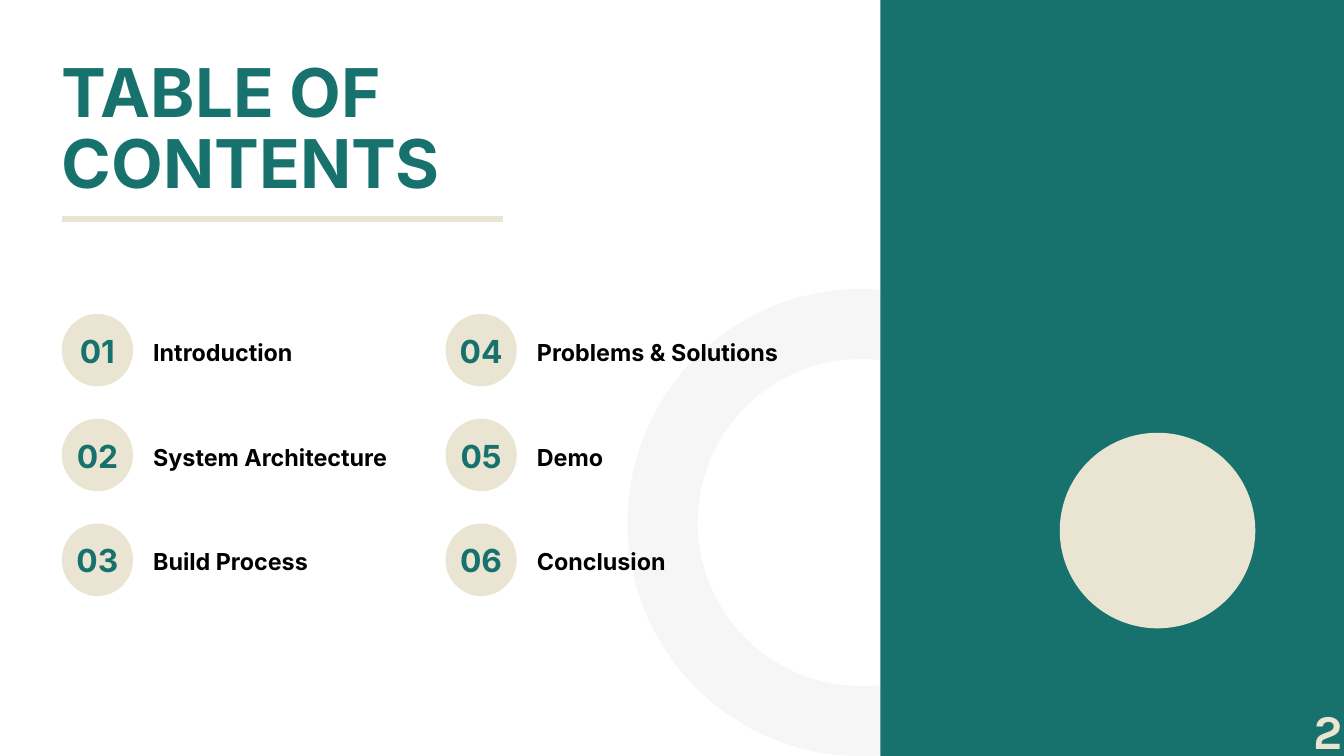
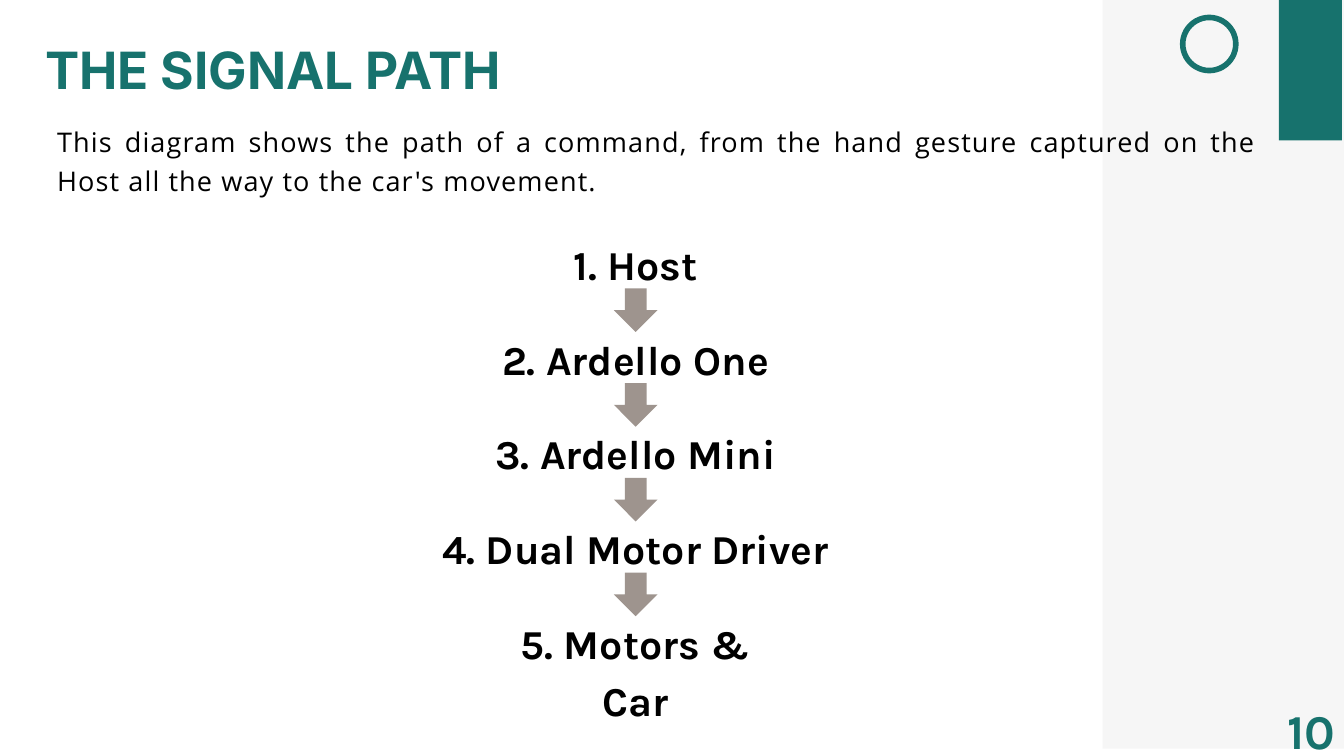
from collections import namedtuple

from lxml.etree import SubElement
from pptx import Presentation
from pptx.dml.color import RGBColor
from pptx.enum.shapes import MSO_CONNECTOR, MSO_SHAPE
from pptx.enum.text import MSO_ANCHOR as Anchor
from pptx.enum.text import MSO_AUTO_SIZE as AutoSize
from pptx.enum.text import PP_ALIGN as Align
from pptx.oxml.ns import qn
from pptx.util import Inches, Pt

Box = namedtuple("Box", "left top width height")

TEAL, SAND, MIST = "17726D", "EAE4D2", "F6F6F6"
STONE, BLACK = "9E948E", "000000"
HEADING, ACCENT, BODY = "Inter", "Karla", "Open Sans"
WIDTH, HEIGHT = 20, 11.25
TITLE_ONLY, TITLE_AND_BODY = 5, 1

CONTENTS = [
    ["Introduction", "System Architecture", "Build Process"],
    ["Problems & Solutions", "Demo", "Conclusion"],
]
STEPS = ["Host", "Ardello One", "Ardello Mini", "Dual Motor Driver", "Motors & Car"]


def color(value):
    """Turn a hex string into a colour."""
    return RGBColor.from_string(value)


def inches(box):
    """Turn a box into four lengths."""
    return [Inches(length) for length in box]


def write(frame, text, size, leading, font=HEADING, fill=TEAL, bold=True,
          align=Align.LEFT, anchor=Anchor.TOP, tracking=None, wrap=True, bottom=0):
    """Fill a text frame with one formatted paragraph."""
    frame.auto_size = AutoSize.NONE
    frame.word_wrap = wrap
    frame.vertical_anchor = anchor
    frame.margin_left = frame.margin_right = frame.margin_top = 0
    frame.margin_bottom = Inches(bottom)
    para = frame.paragraphs[0]
    para.alignment = align
    para.line_spacing = Pt(leading)
    para.space_before = Pt(0)
    span = para.add_run()
    span.text = text
    span.font.name, span.font.size, span.font.bold = font, Pt(size), bold
    span.font.color.rgb = color(fill)
    if tracking:
        span.font._element.set("spc", str(round(tracking * 100)))


def add_text(page, box, text, size, leading, **style):
    """Add a text box."""
    write(page.shapes.add_textbox(*inches(box)).text_frame, text, size, leading, **style)


def fill_placeholder(holder, box, text, size, leading, **style):
    """Move a placeholder to the front, into its box, and fill it without a bullet."""
    holder.element.getparent().append(holder.element)
    holder.left, holder.top, holder.width, holder.height = inches(box)
    props = holder.text_frame.paragraphs[0]._p.get_or_add_pPr()
    props.set("marL", "0")
    props.set("indent", "0")
    SubElement(props, qn("a:buNone"))
    write(holder.text_frame, text, size, leading, **style)


def add_figure(page, kind, box, fill=None, line=None, weight=0):
    """Add a flat preset shape."""
    figure = page.shapes.add_shape(kind, *inches(box))
    figure.shadow.inherit = False
    if fill:
        figure.fill.solid()
        figure.fill.fore_color.rgb = color(fill)
    else:
        figure.fill.background()
    if line:
        figure.line.color.rgb = color(line)
        figure.line.width = Pt(weight)
    else:
        figure.line.fill.background()
    return figure


def add_rule(page, left, top, length):
    """Draw the sand rule below a title."""
    rule = page.shapes.add_connector(
        MSO_CONNECTOR.STRAIGHT, Inches(left), Inches(top), Inches(left + length), Inches(top))
    rule.line.color.rgb = color(SAND)
    rule.line.width = Pt(6)
    SubElement(rule._element.spPr, qn("a:effectLst"))


def add_page_number(page, number, box, fill):
    """Write the page number in the bottom corner."""
    add_text(page, box, str(number), 52, 72.8, font=ACCENT, fill=fill,
             align=Align.CENTER, wrap=False)


def add_contents_grid(page, box):
    """Lay numbered circles and labels out in columns."""
    column_step, row_step, number = 5.71, 1.56, 0
    for column, labels in enumerate(CONTENTS):
        for row, label in enumerate(labels):
            number += 1
            left = box.left + column * column_step
            top = box.top + row * row_step
            badge = add_figure(page, MSO_SHAPE.OVAL, Box(left, top, 1.06, 1.08), SAND)
            write(badge.text_frame, f"{number:02}", 34, 47.6, align=Align.CENTER,
                  anchor=Anchor.MIDDLE, wrap=False, bottom=0.08)
            add_text(page, Box(left + 1.36, top + 0.29, 3.95, 0.45), label, 25, 35, fill=BLACK)


def add_signal_path(page, box):
    """Stack the numbered steps with arrows between them."""
    step, arrow = 1.41, 0.65
    for index, name in enumerate(STEPS):
        top = box.top + index * step
        last = index == len(STEPS) - 1
        width = 4.45 if last else box.width
        add_text(page, Box(box.left + (box.width - width) / 2, top, width, 0.83),
                 f"{index + 1}. {name}", 44, 61.6, font=ACCENT, fill=BLACK, align=Align.CENTER)
        if not last:
            add_figure(page, MSO_SHAPE.DOWN_ARROW,
                       Box(box.left + (box.width - arrow) / 2, top + 0.85, arrow, arrow), STONE)


def add_side_panel(page, box):
    """Draw the teal panel with its sand disc."""
    add_figure(page, MSO_SHAPE.RECTANGLE, box, TEAL)
    add_figure(page, MSO_SHAPE.OVAL, Box(box.left + 2.67, box.top + 6.44, 2.91, 2.91), SAND)


def add_side_strip(page, box):
    """Draw the pale strip with its teal tab and ring."""
    add_figure(page, MSO_SHAPE.RECTANGLE, box, MIST)
    add_figure(page, MSO_SHAPE.RECTANGLE, Box(box.left + 2.62, box.top, 0.94, 2.09), TEAL)
    add_figure(page, MSO_SHAPE.OVAL, Box(box.left + 1.19, box.top + 0.26, 0.79, 0.79),
               line=TEAL, weight=6)


def build_contents(deck):
    """Build the table of contents."""
    page = deck.slides.add_slide(deck.slide_layouts[TITLE_ONLY])
    add_figure(page, MSO_SHAPE.OVAL, Box(9.86, 4.82, 5.91, 5.91), line=MIST, weight=75)
    add_side_panel(page, Box(13.1, 0, WIDTH - 13.1, HEIGHT))
    add_contents_grid(page, Box(0.92, 4.67, 11, 4.2))
    add_rule(page, 0.92, 3.26, 6.57)
    fill_placeholder(page.shapes.title, Box(0.92, 0.9, 7.83, 2.12),
                     "TABLE OF CONTENTS", 72, 75.6)
    add_page_number(page, 2, Box(19.58, 10.28, 0.38, 0.97), SAND)


def build_signal_path(deck):
    """Build the signal path diagram."""
    page = deck.slides.add_slide(deck.slide_layouts[TITLE_AND_BODY])
    add_side_strip(page, Box(16.41, 0, WIDTH - 16.41, 11.14))
    fill_placeholder(page.shapes.title, Box(0.67, 0.68, 11.75, 0.82),
                     "THE SIGNAL PATH", 55, 57.8)
    fill_placeholder(
        page.placeholders[1], Box(0.85, 1.77, 17.86, 1.74),
        "This diagram shows the path of a command, from the hand gesture captured on the "
        "Host all the way to the car's movement.",
        29, 42, font=BODY, fill=BLACK, bold=False, align=Align.JUSTIFY, tracking=1.2)
    add_signal_path(page, Box(6.14, 3.44, 6.64, 7))
    add_page_number(page, 10, Box(19.03, 10.28, 0.97, 0.97), TEAL)


def main():
    """Build and save the deck."""
    deck = Presentation()
    deck.slide_width, deck.slide_height = Inches(WIDTH), Inches(HEIGHT)
    build_contents(deck)
    build_signal_path(deck)
    deck.save("out.pptx")


if __name__ == "__main__":
    main()
